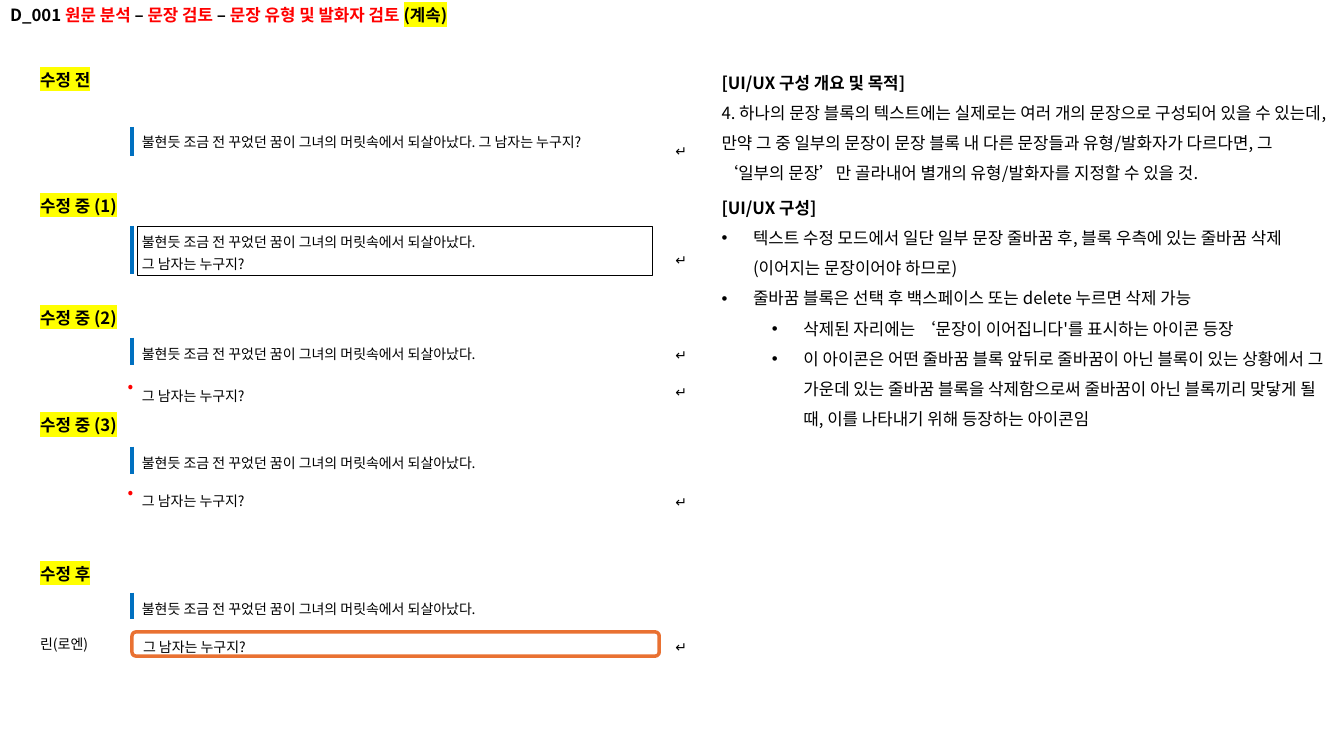
from dataclasses import dataclass

from lxml import etree
from pptx import Presentation
from pptx.dml.color import RGBColor
from pptx.enum.shapes import MSO_CONNECTOR, MSO_SHAPE
from pptx.enum.text import MSO_ANCHOR, MSO_AUTO_SIZE, PP_ALIGN
from pptx.oxml.ns import qn
from pptx.util import Pt

STRAIGHT = MSO_CONNECTOR.STRAIGHT
RECTANGLE, ROUNDED = MSO_SHAPE.RECTANGLE, MSO_SHAPE.ROUNDED_RECTANGLE
TOP, MIDDLE = MSO_ANCHOR.TOP, MSO_ANCHOR.MIDDLE
GROW, FIXED = MSO_AUTO_SIZE.SHAPE_TO_FIT_TEXT, MSO_AUTO_SIZE.NONE
LEFT = PP_ALIGN.LEFT

FONT = "Noto Sans CJK KR"
COLORS = {"black": "000000", "red": "FF0000", "yellow": "FFFF00",
          "blue": "0070C0", "orange": "E97132"}
DREAM = "불현듯 조금 전 꾸었던 꿈이 그녀의 머릿속에서 되살아났다."
WHO = "그 남자는 누구지?"
BLOCK_LEFT, BLOCK_WIDTH, LINE_HEIGHT = 94.3, 376.6, 19.4
LABEL_LEFT, LABEL_HEIGHT = 21.6, 21.6
NOTES_LEFT, NOTES_WIDTH = 508.3, 451.4


@dataclass
class Run:
    text: str
    size: float = 10
    color: str = "black"
    bold: bool = False
    highlight: str = ""


@dataclass
class Line:
    runs: list[Run]
    spacing: object = 1.0
    level: int = 0
    bullet: bool = False


@dataclass
class Box:
    left: float
    top: float
    width: float
    height: float


@dataclass
class Block:
    top: float
    height: float
    sentences: list[str]
    bar_top: float
    bar_bottom: float


@dataclass
class Label:
    text: str
    top: float
    width: float


TITLE_RUNS = [
    Run("D_001 ", 12, "black", True), Run("원문 분석 ", 12, "red", True),
    Run("– ", 12, "black", True), Run("문장 검토 ", 12, "red", True),
    Run("– ", 12, "black", True), Run("문장 유형 및 발화자 검토 ", 12, "red", True),
    Run("(계속)", 12, "black", True, "yellow"),
]
LABELS = [
    Label("수정 전", 46.1, 55.4), Label("수정 중 (1)", 136.1, 74.9),
    Label("수정 중 (2)", 216, 74.9), Label("수정 중 (3)", 293, 74.9),
    Label("수정 후", 398.9, 55.4),
]
BLOCKS = [
    Block(83.5, 32.4, [f"{DREAM} {WHO}"], 90.7, 111.6),
    Block(161.3, 34.6, [DREAM, WHO], 161.3, 195.9),
    Block(241.2, LINE_HEIGHT, [DREAM], 241.2, 260.6),
    Block(319, LINE_HEIGHT, [DREAM], 319, 338.4),
    Block(423.4, LINE_HEIGHT, [DREAM], 423.4, 442.1),
]
SPLIT_TOPS = [271.4, 346.3]
DOT_TOPS = [265, 340.6]
RETURN_TOPS = [98.6, 176.4, 244.1, 270.7, 349.2, 452.9]
PURPOSE = (
    "4. 하나의 문장 블록의 텍스트에는 실제로는 여러 개의 문장으로 구성되어 있을 수 있는데, "
    "만약 그 중 일부의 문장이 문장 블록 내 다른 문장들과 유형/발화자가 다르다면, "
    "그 ‘일부의 문장’만 골라내어 별개의 유형/발화자를 지정할 수 있을 것.")
BULLETS = [
    (0, "텍스트 수정 모드에서 일단 일부 문장 줄바꿈 후, 블록 우측에 있는 줄바꿈 삭제 "
        "(이어지는 문장이어야 하므로)"),
    (0, "줄바꿈 블록은 선택 후 백스페이스 또는 delete 누르면 삭제 가능"),
    (1, "삭제된 자리에는 ‘문장이 이어집니다'를 표시하는 아이콘 등장"),
    (1, "이 아이콘은 어떤 줄바꿈 블록 앞뒤로 줄바꿈이 아닌 블록이 있는 상황에서 "
        "그 가운데 있는 줄바꿈 블록을 삭제함으로써 줄바꿈이 아닌 블록끼리 맞닿게 될 때, "
        "이를 나타내기 위해 등장하는 아이콘임"),
]


def rgb(name: str) -> RGBColor:
    return RGBColor.from_string(COLORS[name])


def place(box: Box) -> tuple:
    return Pt(box.left), Pt(box.top), Pt(box.width), Pt(box.height)


def add_run(paragraph, item: Run) -> None:
    run = paragraph.add_run()
    run.text = item.text
    run.font.size = Pt(item.size)
    run.font.bold = item.bold
    run.font.color.rgb = rgb(item.color)
    properties = run.font._element
    if item.highlight:
        highlight = etree.SubElement(properties, qn("a:highlight"))
        etree.SubElement(highlight, qn("a:srgbClr"), val=COLORS[item.highlight])
    for tag in ("a:latin", "a:ea"):
        etree.SubElement(properties, qn(tag), typeface=FONT)


def write(shape, lines: list[Line], wrap=True, anchor=TOP, fit=GROW) -> None:
    frame = shape.text_frame
    frame.word_wrap, frame.vertical_anchor, frame.auto_size = wrap, anchor, fit
    for index, line in enumerate(lines):
        paragraph = frame.add_paragraph() if index else frame.paragraphs[0]
        paragraph.alignment = LEFT
        paragraph.line_spacing = line.spacing
        paragraph.space_before = paragraph.space_after = Pt(0)
        paragraph.level = line.level
        if line.bullet:
            properties = paragraph._p.get_or_add_pPr()
            properties.set("marL", str(Pt(22.5 + 36 * line.level)))
            properties.set("indent", str(Pt(-22.5)))
            etree.SubElement(properties, qn("a:buFont"), typeface="Arial")
            etree.SubElement(properties, qn("a:buChar"), char="•")
        for run in line.runs:
            add_run(paragraph, run)


def add_text(shapes, box: Box, lines: list[Line], **options) -> None:
    write(shapes.add_textbox(*place(box)), lines, **options)


def add_sentences(shapes, top: float, height: float, sentences: list[str]) -> None:
    lines = [Line([Run(sentence)], Pt(16)) for sentence in sentences]
    add_text(shapes, Box(BLOCK_LEFT, top, BLOCK_WIDTH, height), lines,
             anchor=MIDDLE, fit=FIXED)


def add_block(shapes, block: Block) -> None:
    group = shapes.add_group_shape().shapes
    add_sentences(group, block.top, block.height, block.sentences)
    bar = group.add_connector(STRAIGHT, Pt(BLOCK_LEFT), Pt(block.bar_top),
                              Pt(BLOCK_LEFT), Pt(block.bar_bottom))
    bar.line.color.rgb, bar.line.width = rgb("blue"), Pt(2.5)
    etree.SubElement(bar._element.spPr, qn("a:effectLst"))


def add_outline(shapes, kind, box: Box, color: str, width: float):
    shape = shapes.add_shape(kind, *place(box))
    shape.shadow.inherit = False
    shape.fill.background()
    shape.line.color.rgb, shape.line.width = rgb(color), Pt(width)
    return shape


def main() -> None:
    presentation = Presentation()
    presentation.slide_width, presentation.slide_height = Pt(960), Pt(540)
    slide = presentation.slides.add_slide(presentation.slide_layouts[5])
    shapes = slide.shapes

    # Title
    title = shapes.title
    title.left, title.top, title.width, title.height = place(Box(0, 0, 365, 21.6))
    write(title, [Line(TITLE_RUNS)], wrap=False)

    # Notes on the right
    heading = Line([Run("[UI/UX 구성 개요 및 목적]", 12, bold=True)])
    add_text(shapes, Box(NOTES_LEFT, 48.2, NOTES_WIDTH, 106.6),
             [heading, Line([Run(PURPOSE, 12)], 1.5)])
    heading = Line([Run("[UI/UX 구성]", 12, bold=True)])
    bullets = [Line([Run(text, 12)], 1.5, level, True) for level, text in BULLETS]
    add_text(shapes, Box(NOTES_LEFT, 137.5, NOTES_WIDTH, 171.4), [heading, *bullets])

    # Stage labels
    for label in LABELS:
        add_text(shapes, Box(LABEL_LEFT, label.top, label.width, LABEL_HEIGHT),
                 [Line([Run(label.text, 12, bold=True, highlight="yellow")])], wrap=False)

    # Sentence blocks, the edit frame and split-off sentences
    add_outline(shapes, RECTANGLE, Box(98, 162, 368, 34.6), "black", 0.75)
    for block in BLOCKS:
        add_block(shapes, block)
    for top in SPLIT_TOPS:
        add_sentences(shapes, top, LINE_HEIGHT, [WHO])
    for top in DOT_TOPS:
        add_text(shapes, Box(84.2, top, 19.4, 21.6),
                 [Line([Run("•", 12, "red")])], wrap=False)

    # Line-break marks
    for top in RETURN_TOPS:
        add_text(shapes, Box(482.4, top, 4.3, LINE_HEIGHT), [Line([Run("↵")])])

    # Reassigned sentence and its speaker
    result = add_outline(shapes, ROUNDED, Box(BLOCK_LEFT, 451.4, BLOCK_WIDTH, 17.3),
                         "orange", 2.5)
    write(result, [Line([Run(WHO)], Pt(16))], anchor=MIDDLE, fit=FIXED)
    add_text(shapes, Box(LABEL_LEFT, 450.7, 51.1, LINE_HEIGHT), [Line([Run("린(로엔)")])])

    presentation.save("out.pptx")


if __name__ == "__main__":
    main()
